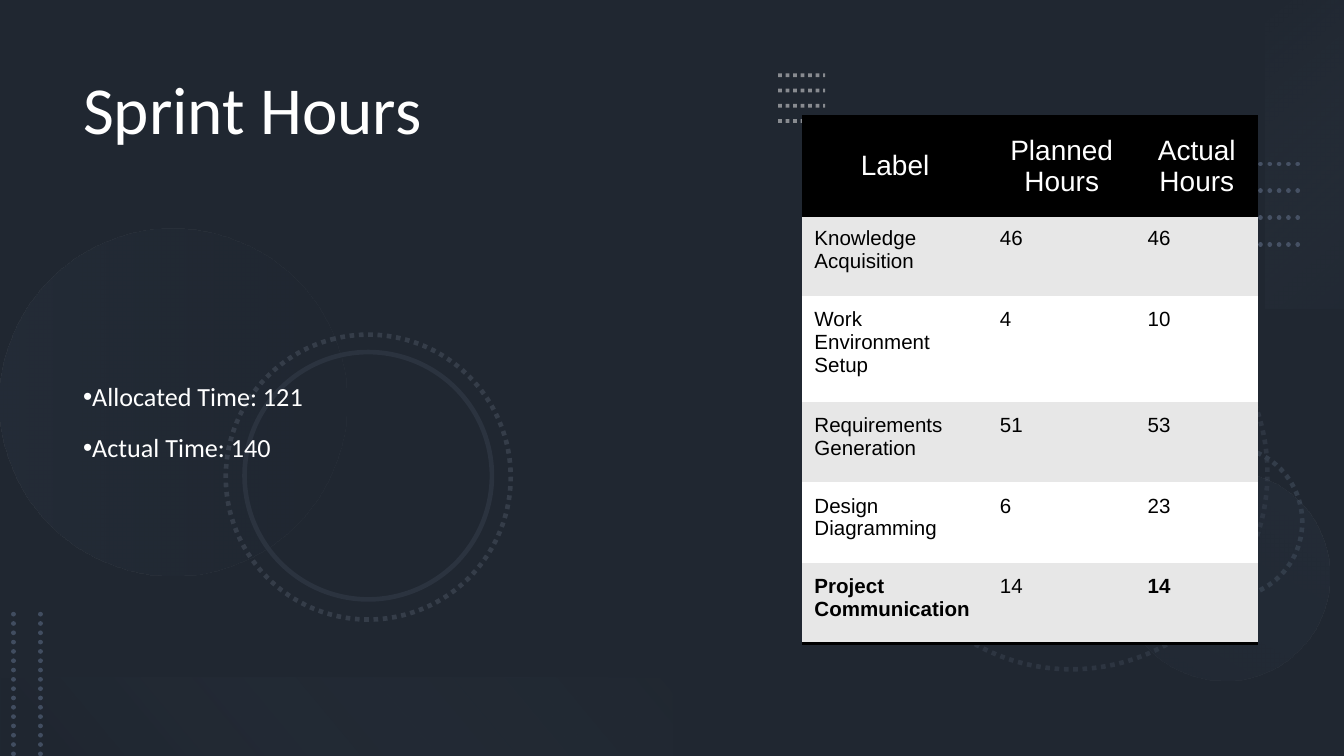
"""Build the sprint hours slide."""
from pptx import Presentation
from pptx import util as u
from pptx.dml import color as col
from pptx.enum import dml, shapes, text
from pptx.oxml import parse_xml
from pptx.oxml.ns import nsdecls, qn

RECT, OVAL = shapes.MSO_SHAPE.RECTANGLE, shapes.MSO_SHAPE.OVAL
MID, LEFT = text.PP_ALIGN.CENTER, text.PP_ALIGN.LEFT
PLAIN = "{2D5ABB26-0587-4C30-8999-92F81FD0307C}"
WIDE, HIGH = 10, 10 * 9 / 16


def rgb(hexa):
    return col.RGBColor.from_string(hexa)


def node(tag, inner="", **attrs):
    pairs = "".join(f' {key}="{val}"' for key, val in attrs.items())
    return parse_xml(f"<a:{tag} {nsdecls('a')}{pairs}>{inner}</a:{tag}>")


def fade(fill, alpha):
    for tint in fill.iter(qn("a:srgbClr")):
        tint.append(node("alpha", val=alpha * 1000))


def write(frame, lines, size=11, font="Arial", color="000000", bold=False,
          align=LEFT, space=None, gap=0, bullet=None):
    frame.word_wrap = True
    for i, line in enumerate(lines):
        para = frame.add_paragraph() if i else frame.paragraphs[0]
        para.alignment = align
        if space:
            para.line_spacing = space
        if i and gap:
            para.space_before = para.space_after = u.Pt(gap)
        if bullet:
            props = para._p.get_or_add_pPr()
            props.set("marL", "0")
            props.set("indent", str(-u.Inches(0.25)))
            props.append(node("buFont", typeface="Arial"))
            props.append(node("buChar", char=bullet))
        run = para.add_run()
        run.text = line
        run.font.size, run.font.name = u.Pt(size), font
        run.font.bold, run.font.color.rgb = bold, rgb(color)


class Deck:
    """Hold the style and the current slide."""

    def __init__(self):
        self.prs = Presentation()
        self.prs.slide_width, self.prs.slide_height = u.Inches(WIDE), u.Inches(HIGH)
        self.slide = self.prs.slides.add_slide(self.prs.slide_layouts[6])
        self.white, self.black, self.gray = "FFFFFF", "000000", "E7E7E7"

    def shape(self, kind, box, turn=0):
        item = self.slide.shapes.add_shape(kind, *map(u.Inches, box))
        item.shadow.inherit = False
        item.rotation = turn
        item.line.fill.background()
        return item

    def block(self, box, color, alpha=100):
        item = self.shape(RECT, box)
        item.fill.solid()
        item.fill.fore_color.rgb = rgb(color)
        fade(item._element.spPr, alpha)

    def blend(self, kind, box, turn, stops, angle):
        item = self.shape(kind, box, turn)
        inner = "".join(
            f'<a:gs pos="{pos * 1000}"><a:srgbClr val="{tint}">'
            f'<a:alpha val="{alpha * 1000}"/></a:srgbClr></a:gs>'
            for pos, tint, alpha in stops)
        fill = node("gradFill", f'<a:gsLst>{inner}</a:gsLst>'
                    f'<a:lin ang="{angle * 60000}" scaled="0"/>', rotWithShape=1)
        item._element.spPr.find(qn("a:prstGeom")).addnext(fill)

    def stroke(self, line, color, width=2.5, dots=True):
        line.color.rgb, line.width = rgb(color), u.Pt(width)
        if dots:
            line.dash_style = dml.MSO_LINE.ROUND_DOT

    def ring(self, left, top, size, color, turn=75, dots=True):
        item = self.shape(OVAL, (left, top, size, size), turn)
        item.fill.background()
        self.stroke(item.line, color, dots=dots)

    def rule(self, start, end, color, width=2.5, alpha=100, cap="rnd"):
        item = self.slide.shapes.add_connector(
            shapes.MSO_CONNECTOR.STRAIGHT, *map(u.Inches, start + end))
        self.stroke(item.line, color, width)
        props = item._element.spPr
        props.find(qn("a:ln")).set("cap", cap)
        fade(props, alpha)
        props.append(node("effectLst"))

    def label(self, box, lines, **style):
        item = self.slide.shapes.add_textbox(*map(u.Inches, box))
        write(item.text_frame, lines, font="Calibri", color=self.white,
              space=0.9, **style)

    def edge(self, cell, sides):
        props = cell._tc.get_or_add_tcPr()
        for i, side in enumerate(sides):
            props.insert(i, node(
                side, f'<a:solidFill><a:srgbClr val="{self.black}"/></a:solidFill>',
                w=u.Pt(2)))

    def table(self, box, cols, highs, rows):
        item = self.slide.shapes.add_table(
            len(rows), len(cols), *map(u.Inches, box))
        grid = item.table
        item._element.find(".//" + qn("a:tableStyleId")).text = PLAIN
        for part, wide in zip(grid.columns, cols):
            part.width = u.Inches(wide)
        for part, high in zip(grid.rows, highs):
            part.height = u.Inches(high)
        last = len(rows) - 1
        for r, row in enumerate(rows):
            for c, word in enumerate(row):
                cell = grid.cell(r, c)
                cell.margin_left = cell.margin_right = u.Inches(0.09)
                cell.margin_top = cell.margin_bottom = u.Inches(0.09)
                cell.fill.solid()
                if r == 0:
                    cell.vertical_anchor = text.MSO_ANCHOR.MIDDLE
                    back = self.black
                    write(cell.text_frame, [word], size=15, color=self.white, align=MID)
                    self.edge(cell, ("lnT", "lnB"))
                else:
                    back = self.gray if r % 2 else self.white
                    write(cell.text_frame, [word], bold=r == last and c != 1)
                    if r == last:
                        self.edge(cell, ("lnB",))
                cell.fill.fore_color.rgb = rgb(back)


def main():
    deck = Deck()
    page = (0, 0, WIDE, HIGH)
    deck.block(page, "44546A")
    deck.block(page, "000000", 53)

    deck.ring(6.51, 2.06, 2.92, "2D3541")
    deck.ring(8.56, 3.32, 1.13, "333D4A", 270)
    deck.blend(OVAL, (0, 1.7, 2.58, 2.58), 270,
               [(0, "333F50", 20), (100, "222A35", 10)], 90)
    deck.blend(OVAL, (8.33, 3.5, 1.56, 1.56), 210,
               [(0, "333F50", 10), (100, "333F50", 20)], 90)
    deck.ring(1.68, 2.49, 2.12, "353D49")
    deck.ring(1.82, 2.62, 1.84, "2B333F", dots=False)

    deck.label((0.52, 0.52, 4.56, 2.16), ["Sprint Hours"], size=36)
    deck.blend(RECT, (8.56, 0.86, 2.29, 0.58), 270,
               [(0, "ADB9CA", 0), (100, "333F50", 10)], 140)
    for i in range(4):
        y = 1.22 + 0.2 * i
        deck.rule((9.24, y), (9.69, y), "465164")
    deck.blend(RECT, (0, 5.04, 5, 0.58), 180,
               [(10, "222A35", 10), (100, "8497B0", 0)], 140)
    for x in (0.3, 0.1):
        deck.rule((x, 4.57), (x, HIGH), "414D60")

    deck.label((0.52, 2.81, 4.56, 2.32),
               ["Allocated Time: 121", "Actual Time: 140"],
               size=14, gap=12, bullet="•")
    for i in range(4):
        y = 0.9 - 0.34 / 3 * i
        deck.rule((5.79, y), (6.14, y), "F1F0F0", 2, 50, "flat")

    deck.table((5.97, 0.87, 3.39, 3.92), (1.38, 1.1, 0.91),
               (0.73, 0.6, 0.79, 0.6, 0.6, 0.6), [
        ("Label", "Planned Hours", "Actual Hours"),
        ("Knowledge Acquisition", "46", "46"),
        ("Work Environment Setup", "4", "10"),
        ("Requirements Generation", "51", "53"),
        ("Design Diagramming", "6", "23"),
        ("Project Communication", "14", "14"),
    ])
    deck.prs.save("out.pptx")


if __name__ == "__main__":
    main()
